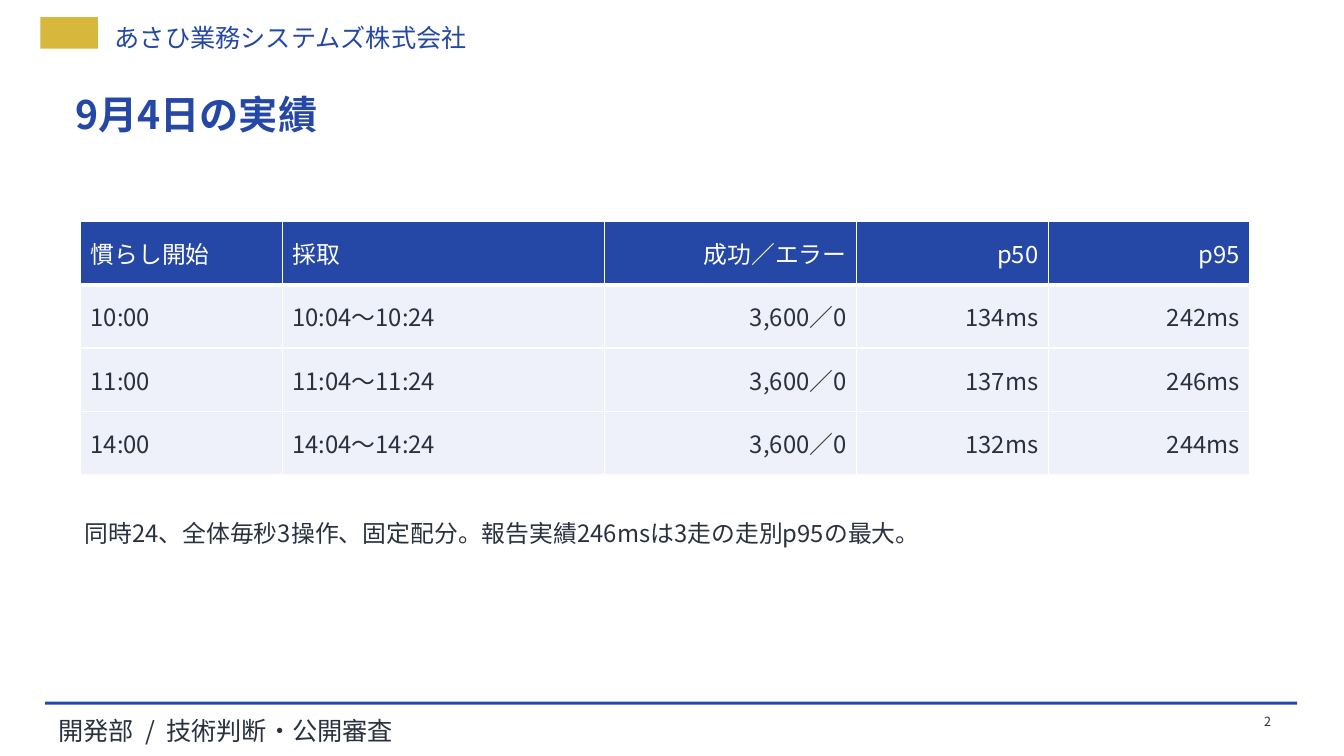
"""Build the slide with the load test results of September 4."""
import lxml.etree
import pptx
import pptx.dml.color
import pptx.enum.shapes
import pptx.enum.text
import pptx.oxml.ns
import pptx.util

Cm = pptx.util.Cm
Pt = pptx.util.Pt
qn = pptx.oxml.ns.qn
ALIGN = pptx.enum.text.PP_ALIGN
RECT = pptx.enum.shapes.MSO_SHAPE.RECTANGLE
FACE = "Noto Sans CJK JP"
HUES = {"blue": "2548A6", "gold": "D8B83C", "ink": "29313F",
        "pale": "EEF1FA", "white": "FFFFFF"}


def paint(fill, hue):
    fill.solid()
    fill.fore_color.rgb = pptx.dml.color.RGBColor.from_string(HUES[hue])


def write(frame, text, size, hue, align=ALIGN.LEFT, bold=False):
    para = frame.paragraphs[0]
    para.text = text
    para.alignment = align
    font = para.font
    font.size = Pt(size)
    font.bold = bold
    font.name = FACE
    paint(font.fill, hue)
    lxml.etree.SubElement(para._p.pPr.find(qn("a:defRPr")), qn("a:ea"), typeface=FACE)


deck = pptx.Presentation()
deck.slide_width, deck.slide_height = Cm(33.87), Cm(19.05)
slide = deck.slides.add_slide(deck.slide_layouts[6])
paint(slide.background.fill, "white")

bars = [
    ((1.02, 0.43, 1.45, 0.8), "gold"),
    ((1.14, 17.68, 31.55, 0.08), "blue"),
]
for place, hue in bars:
    bar = slide.shapes.add_shape(RECT, *map(Cm, place))
    bar.shadow.inherit = False
    paint(bar.fill, hue)
    bar.line.fill.background()

texts = [
    ((2.64, 0.43, 17.78, 0.86), 0.25, "あさひ業務システムズ株式会社", 18, "blue", ALIGN.LEFT, False),
    ((1.22, 17.91, 25.4, 0.66), 0.25, "開発部  /  技術判断・公開審査", 18, "ink", ALIGN.LEFT, False),
    ((1.65, 2.16, 30.48, 2.54), 0.25, "9月4日の実績", 28, "blue", ALIGN.LEFT, True),
    ((30.61, 17.86, 1.52, 0.76), 0.1, "2", 9, "ink", ALIGN.RIGHT, False),
    ((2.03, 12.95, 29.46, 1.78), 0.1,
     "同時24、全体毎秒3操作、固定配分。報告実績246msは3走の走別p95の最大。", 17, "ink", ALIGN.LEFT, False),
]
for place, inset, text, size, hue, align, bold in texts:
    frame = slide.shapes.add_textbox(*map(Cm, place)).text_frame
    frame.word_wrap = True
    frame.margin_left = frame.margin_right = Cm(inset)
    write(frame, text, size, hue, align, bold)

rows = [
    ("慣らし開始", "採取", "成功／エラー", "p50", "p95"),
    ("10:00", "10:04〜10:24", "3,600／0", "134ms", "242ms"),
    ("11:00", "11:04〜11:24", "3,600／0", "137ms", "246ms"),
    ("14:00", "14:04〜14:24", "3,600／0", "132ms", "244ms"),
]
widths = [5.08, 8.13, 6.35, 4.83, 5.08]
tall = 1.59
grid = slide.shapes.add_table(len(rows), len(widths), Cm(2.03), Cm(5.59),
                              Cm(sum(widths)), Cm(tall * len(rows))).table
for col, width in zip(grid.columns, widths):
    col.width = Cm(width)
for r, row in enumerate(rows):
    grid.rows[r].height = Cm(tall)
    for c, text in enumerate(row):
        cell = grid.cell(r, c)
        cell.vertical_anchor = pptx.enum.text.MSO_ANCHOR.MIDDLE
        for side in "LRTB":
            thick = 3 if r == 0 and side == "B" else 1
            edge = lxml.etree.SubElement(cell._tc.tcPr, qn("a:ln" + side), w=str(Pt(thick)))
            tint = lxml.etree.SubElement(edge, qn("a:solidFill"))
            lxml.etree.SubElement(tint, qn("a:srgbClr"), val=HUES["white"])
        paint(cell.fill, "pale" if r else "blue")
        write(cell.text_frame, text, 17, "ink" if r else "white",
              ALIGN.RIGHT if c > 1 else ALIGN.LEFT)

deck.save("out.pptx")
